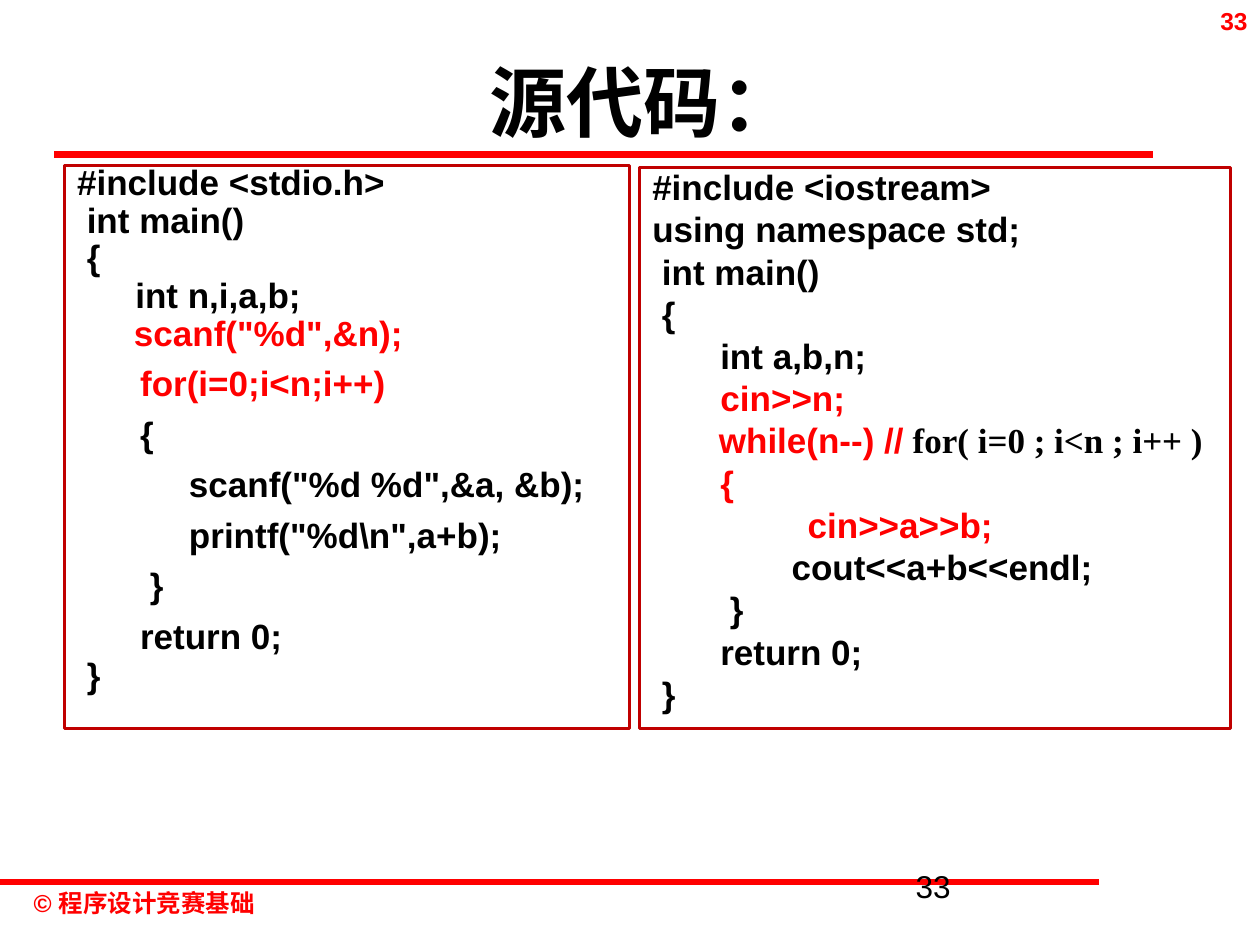
from lxml import etree
from pptx import Presentation
from pptx import util as u
from pptx.dml.color import RGBColor
from pptx.enum import shapes, text
from pptx.oxml.ns import qn

BLACK, RED, FRAME = "000000", "FF0000", "C00000"


def rgb(value):
    return RGBColor.from_string(value)


def add_run(p, words, size, color=BLACK, bold=True, font="Arial"):
    r = p.add_run()
    r.text = words
    r.font.name, r.font.size, r.font.bold = font, u.Pt(size), bold
    r.font.color.rgb = rgb(color)


prs = Presentation()
prs.slide_width, prs.slide_height = u.Cm(25.4), u.Cm(19.05)
s = prs.slides.add_slide(prs.slide_layouts[1])

# Red rules under the title and above the footer
for x1, x2, y in [(1.09, 23.24, 3.12), (0, 22.15, 17.78)]:
    line = s.shapes.add_connector(shapes.MSO_CONNECTOR.STRAIGHT,
                                  u.Cm(x1), u.Cm(y), u.Cm(x2), u.Cm(y))
    line.line.color.rgb = rgb(RED)
    line.line.width = u.Pt(4)
    etree.SubElement(line._element.spPr, qn("a:effectLst"))

# Footer and page numbers
LEFT, RIGHT = text.PP_ALIGN.LEFT, text.PP_ALIGN.RIGHT
for words, box, size, color, bold, align in [
    ("© 程序设计竞赛基础", (0.43, 17.78, 9.73, 0.84), 14, RED, True, LEFT),
    ("33", (21.59, 0, 3.81, 1.07), 14, RED, True, RIGHT),
    ("33", (18.21, 17.35, 5.28, 1.27), 18, BLACK, False, LEFT),
]:
    tf = s.shapes.add_textbox(*map(u.Cm, box)).text_frame
    tf.word_wrap = True
    p = tf.paragraphs[0]
    p.alignment = align
    add_run(p, words, size, color, bold)

# Title
title = s.shapes.title
title.left, title.top, title.width, title.height = map(u.Cm, (2.77, 0.81, 20.42, 2.44))
tf = title.text_frame
tf.vertical_anchor = text.MSO_ANCHOR.MIDDLE
tf.paragraphs[0].alignment = text.PP_ALIGN.CENTER
add_run(tf.paragraphs[0], "源代码：", 44)

# Code lines: level, then runs of (words, colour[, font])
c_code = [
    (0, [("#include <stdio.h>", BLACK)]),
    (0, [(" int main()", BLACK)]),
    (0, [(" {", BLACK)]),
    (0, [("      int n,i,a,b;", BLACK)]),
    (0, [("\t ", BLACK), ('scanf("%d",&n);', RED)]),
    (1, [("for(i=0;i<n;i++)", RED)]),
    (1, [("{", BLACK)]),
    (1, [(' \t scanf("%d %d",&a, &b);', BLACK)]),
    (1, [('   \t printf("%d\\n",a+b);', BLACK)]),
    (1, [(" }", BLACK)]),
    (1, [("return 0;", BLACK)]),
    (0, [(" }", BLACK)]),
]
cpp_code = [
    (0, [("#include <iostream>", BLACK)]),
    (0, [("using namespace std;", BLACK)]),
    (0, [(" int main()", BLACK)]),
    (0, [(" {", BLACK)]),
    (0, [("       int a,b,n;", BLACK)]),
    (0, [("       ", BLACK), ("cin>>n;", RED)]),
    (0, [(" \t  ", BLACK), ("while(n--) //", RED),
         (" for( i=0 ; i<n ; i++ )", BLACK, "Times New Roman")]),
    (0, [("       {", RED)]),
    (0, [("                cin>>a>>b;", RED)]),
    (0, [("      \t   cout<<a+b<<endl;", BLACK)]),
    (0, [("        }", BLACK)]),
    (0, [("       return 0;", BLACK)]),
    (0, [(" }", BLACK)]),
]

# Framed code panels: C in the body placeholder, C++ in a rectangle
c_panel = s.placeholders[1]
c_panel.left, c_panel.top, c_panel.width, c_panel.height = map(
    u.Cm, (1.3, 3.33, 11.4, 11.35))
cpp_panel = s.shapes.add_shape(shapes.MSO_SHAPE.RECTANGLE,
                               *map(u.Cm, (12.9, 3.38, 11.91, 11.3)))
cpp_panel.shadow.inherit = False

indents = [(0.95, -0.95), (2.06, -0.79)]
for sp, code, spacing in [(c_panel, c_code, 0.7), (cpp_panel, cpp_code, 0.8)]:
    sp.fill.background()
    sp.line.color.rgb = rgb(FRAME)
    sp.line.width = u.Pt(1.75)
    tf = sp.text_frame
    tf.word_wrap = True
    tf.auto_size = text.MSO_AUTO_SIZE.NONE
    tf.vertical_anchor = text.MSO_ANCHOR.TOP
    for i, (level, runs) in enumerate(code):
        p = tf.add_paragraph() if i else tf.paragraphs[0]
        pPr = p._p.get_or_add_pPr()
        etree.SubElement(pPr, qn("a:buNone"))
        margin, first = indents[level]
        pPr.set("marL", str(u.Cm(margin)))
        pPr.set("indent", str(u.Cm(first)))
        p.level = level
        p.alignment = LEFT
        p.line_spacing = 1.0 if level else spacing
        p.space_before = u.Pt(4.9 if i else 0)
        for words, color, *font in runs:
            add_run(p, words, 20, color, True, *font)

prs.save("out.pptx")
